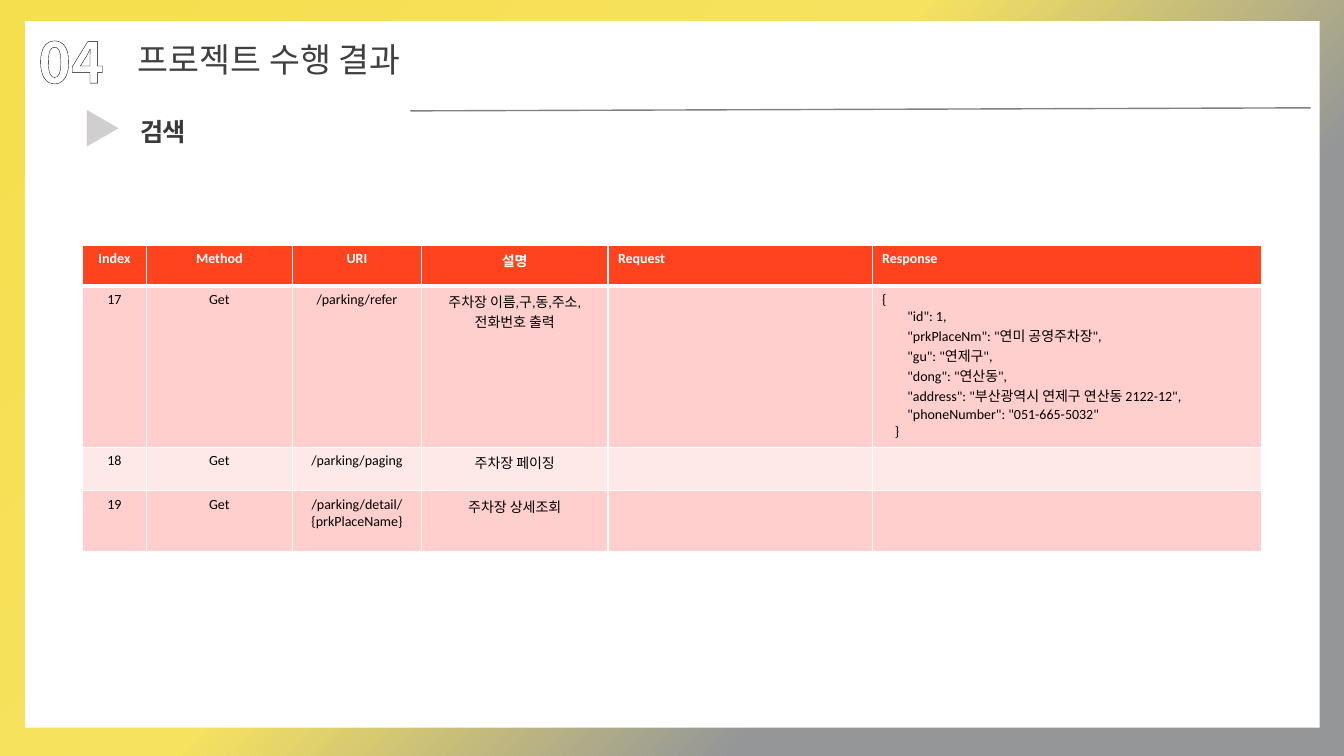
from dataclasses import dataclass

from lxml.etree import SubElement
from pptx import Presentation
from pptx.dml.color import RGBColor as Color
from pptx.enum.dml import MSO_PATTERN_TYPE as Pattern
from pptx.enum.shapes import MSO_CONNECTOR as Connector
from pptx.enum.shapes import MSO_SHAPE as Shape
from pptx.enum.text import MSO_AUTO_SIZE as AutoSize
from pptx.enum.text import PP_ALIGN as Align
from pptx.oxml import parse_xml
from pptx.oxml.ns import qn
from pptx.util import Inches, Pt


@dataclass(frozen=True)
class Theme:
    white: str = "FFFFFF"
    black: str = "000000"
    title: str = "404040"
    dark: str = "3B3838"
    rule: str = "808080"
    marker: str = "D0CECE"
    marker_edge: str = "939597"
    header: str = "FE431E"
    bands: tuple = ("FFCFCD", "FFE9E8")
    # Gradient stops: position in percent, colour, opacity in percent
    backdrop: tuple = ((0, "F5DF4D", 100), (44, "F6E25F", 70),
                       (71, "949698", 70), (100, "939597", 100))
    korean: str = "Noto Sans CJK KR"
    heading: str = "Arial"
    table: str = "Calibri"
    number_size: int = 40
    marker_size: int = 28
    title_size: int = 24
    heading_size: int = 18
    table_size: int = 10


THEME = Theme()

# The slide is a fine grid of square cells
COLUMNS, ROWS = 1333, 750
CELL = Inches(13.33) / COLUMNS

HEADINGS = ("Index", "Method", "URI", "설명", "Request", "Response")
RESPONSE = """{
        "id": 1,
        "prkPlaceNm": "연미 공영주차장",
        "gu": "연제구",
        "dong": "연산동",
        "address": "부산광역시 연제구 연산동 2122-12",
        "phoneNumber": "051-665-5032"
    }"""
ENDPOINTS = (
    ("17", "Get", "/parking/refer", "주차장 이름,구,동,주소,전화번호 출력", "", RESPONSE),
    ("18", "Get", "/parking/paging", "주차장 페이징", "", ""),
    ("19", "Get", "/parking/detail/{prkPlaceName}", "주차장 상세조회", "", ""),
)
COLUMN_WIDTHS = (63, 145, 128, 185, 262, 386)
ROW_HEIGHTS = (41, 160, 43, 60)
CENTRED_COLUMNS = 4


def grid(*cells):
    return [round(cell * CELL) for cell in cells]


def add_line(parent, tag, color, width):
    line = SubElement(parent, qn(tag), w=str(Pt(width)))
    fill = SubElement(line, qn("a:solidFill"))
    SubElement(fill, qn("a:srgbClr"), val=color)
    return line


def write(frame, text, *, size, color, font=THEME.korean, bold=False,
          align=Align.LEFT, pattern_back=None, outline=None, spacing=None):
    """Fill a text frame, one paragraph for each line of text."""
    for index, line in enumerate(text.split("\n")):
        para = frame.paragraphs[0] if index == 0 else frame.add_paragraph()
        para.alignment = align
        span = para.add_run()
        span.text = line
        span.font.size, span.font.bold, span.font.name = Pt(size), bold, font
        fill = span.font.fill
        if pattern_back:
            fill.patterned()
            fill.pattern = Pattern.DARK_UPWARD_DIAGONAL
            fill.fore_color.rgb = Color.from_string(color)
            fill.back_color.rgb = Color.from_string(pattern_back)
        else:
            fill.solid()
            fill.fore_color.rgb = Color.from_string(color)
        properties = span.font._element
        SubElement(properties, qn("a:ea"), typeface=THEME.korean)
        if spacing:
            properties.set("spc", str(round(spacing * 100)))
        if outline:
            properties.insert(0, add_line(properties, "a:ln", *outline))


def add_text(page, place, text, *, wrap=True, **style):
    box = page.shapes.add_textbox(*grid(*place))
    box.text_frame.word_wrap = wrap
    box.text_frame.auto_size = AutoSize.SHAPE_TO_FIT_TEXT
    write(box.text_frame, text, **style)


def paint_backdrop(page):
    fill = page.background.fill
    fill.solid()
    solid = page._element.find(".//" + qn("p:bgPr")).find(qn("a:solidFill"))
    gradient = parse_xml(
        '<a:gradFill xmlns:a="http://schemas.openxmlformats.org/drawingml/2006/main" '
        'rotWithShape="1"><a:gsLst/><a:lin ang="2700000" scaled="0"/></a:gradFill>')
    for position, color, opacity in THEME.backdrop:
        stop = SubElement(gradient[0], qn("a:gs"), pos=str(position * 1000))
        tone = SubElement(stop, qn("a:srgbClr"), val=color)
        if opacity < 100:
            SubElement(tone, qn("a:alpha"), val=str(opacity * 1000))
    solid.getparent().replace(solid, gradient)


def add_panel(page, place):
    panel = page.shapes.add_shape(Shape.RECTANGLE, *grid(*place))
    panel.shadow.inherit = False
    panel.fill.solid()
    panel.fill.fore_color.rgb = Color.from_string(THEME.white)
    panel.line.fill.background()


def add_rule(page, ends):
    rule = page.shapes.add_connector(Connector.STRAIGHT, *grid(*ends))
    rule.line.color.rgb = Color.from_string(THEME.rule)
    rule.line.width = Pt(1)
    SubElement(rule._element.spPr, qn("a:effectLst"))


def format_cell(cell, fill, bottom):
    properties = cell._tc.get_or_add_tcPr()
    for side, width in (("L", 1), ("R", 1), ("T", 1), ("B", bottom)):
        add_line(properties, "a:ln" + side, THEME.white, width)
    cell.fill.solid()
    cell.fill.fore_color.rgb = Color.from_string(fill)


def add_endpoint_table(page, left, top):
    records = (HEADINGS, *ENDPOINTS)
    place = grid(left, top, sum(COLUMN_WIDTHS), sum(ROW_HEIGHTS))
    table = page.shapes.add_table(len(records), len(HEADINGS), *place).table
    for column, width in zip(table.columns, grid(*COLUMN_WIDTHS)):
        column.width = width
    for row, height in zip(table.rows, grid(*ROW_HEIGHTS)):
        row.height = height
    for row, record in enumerate(records):
        is_header = row == 0
        fill = THEME.header if is_header else THEME.bands[(row - 1) % 2]
        for column, text in enumerate(record):
            cell = table.cell(row, column)
            # The header's thick lower edge is also the first row's upper edge
            format_cell(cell, fill, 3 if is_header else 1)
            if row == 1:
                cell._tc.tcPr.find(qn("a:lnT")).set("w", str(Pt(3)))
            write(cell.text_frame, text, size=THEME.table_size, font=THEME.table,
                  color=THEME.white if is_header else THEME.black, bold=is_header,
                  align=Align.CENTER if column < CENTRED_COLUMNS else Align.LEFT)


def main():
    deck = Presentation()
    deck.slide_width, deck.slide_height = grid(COLUMNS, ROWS)
    page = deck.slides.add_slide(deck.slide_layouts[6])

    # Frame
    paint_backdrop(page)
    add_panel(page, (25, 21, 1284, 701))

    # Section heading and its marker
    add_text(page, (130, 110, 903, 40), "검색", size=THEME.heading_size,
             color=THEME.dark, font=THEME.heading, bold=True, spacing=-1)
    add_text(page, (72, 99, 55, 57), "▶", size=THEME.marker_size, bold=True,
             color=THEME.marker_edge, pattern_back=THEME.marker,
             outline=(THEME.marker_edge, 1))

    # Slide title with number and rule
    add_rule(page, (407, 110, 1300, 107))
    add_text(page, (28, 22, 127, 77), "04", size=THEME.number_size, bold=True,
             color=THEME.dark, pattern_back=THEME.white, outline=(THEME.black, 1.25))
    add_text(page, (127, 34, 323, 50), "프로젝트 수행 결과", wrap=False,
             size=THEME.title_size, color=THEME.title)

    # Endpoints
    add_endpoint_table(page, 82, 243)

    deck.save("out.pptx")


if __name__ == "__main__":
    main()
